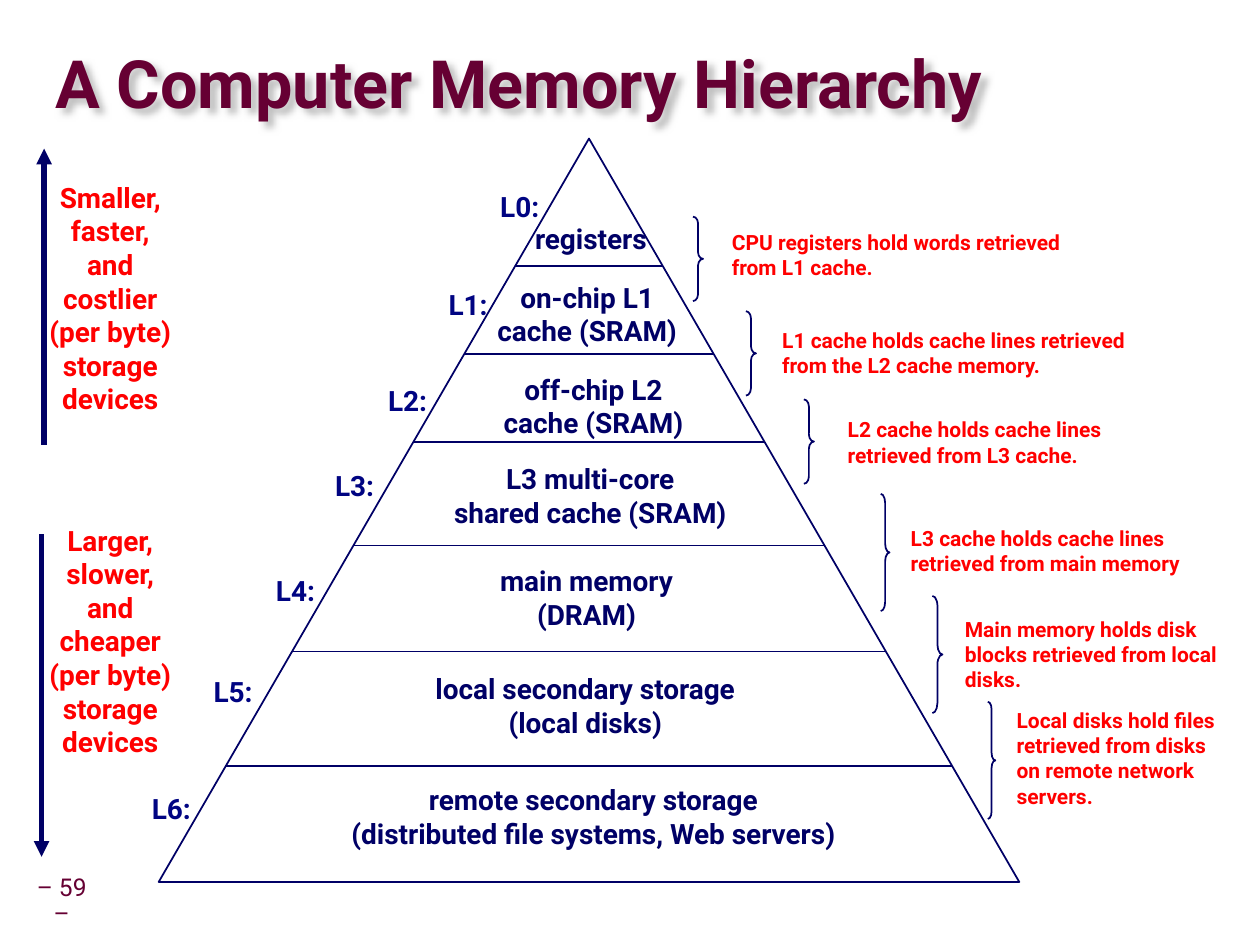
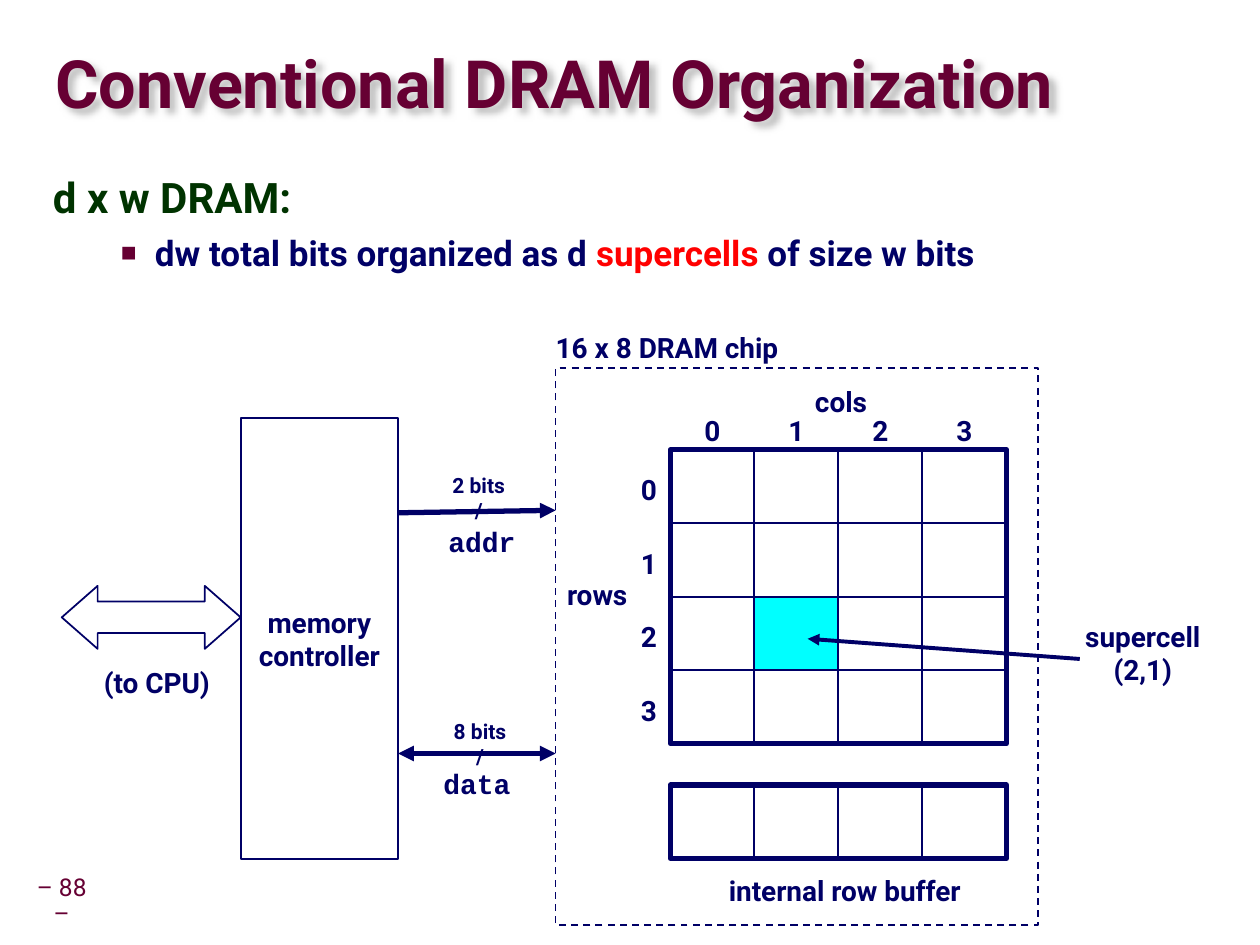
from lxml import etree
from pptx import Presentation
from pptx.dml.color import RGBColor
from pptx.enum.dml import MSO_LINE
from pptx.enum.shapes import MSO_CONNECTOR, MSO_SHAPE
from pptx.enum.text import MSO_ANCHOR, MSO_AUTO_SIZE, PP_ALIGN
from pptx.oxml.ns import qn
from pptx.util import Inches, Pt

RECT, TRIANGLE = MSO_SHAPE.RECTANGLE, MSO_SHAPE.ISOSCELES_TRIANGLE
BRACE, BLOCK_ARROW = MSO_SHAPE.RIGHT_BRACE, MSO_SHAPE.LEFT_RIGHT_ARROW
STRAIGHT, DASH = MSO_CONNECTOR.STRAIGHT, MSO_LINE.DASH
LEFT, CENTER = PP_ALIGN.LEFT, PP_ALIGN.CENTER
MIDDLE, TOP = MSO_ANCHOR.MIDDLE, MSO_ANCHOR.TOP
NO_FIT = MSO_AUTO_SIZE.NONE

FONT, CODE_FONT = "Roboto", "Courier New"
NAVY, BLUE, RED, WINE = "000066", "000482", "FF0000", "660033"
GREEN, CYAN, WHITE = "003300", "00FFFF", "FFFFFF"
rgb = RGBColor.from_string

deck = Presentation()
deck.slide_width, deck.slide_height = Inches(10), Inches(7.5)
CELL = deck.slide_width // 100  # the slide is a grid of 100 columns by 75 rows


def draw(page, kind, cells, fill=None, width=1, dash=None, adjust=(), head=False, tail=False):
    """Add a shape, or a line when kind is STRAIGHT, or a text box when kind is None.

    cells holds left, top, width, height; for a line, the start and end points.
    """
    lengths = [round(CELL * value) for value in cells]
    if kind is None:
        return page.shapes.add_textbox(*lengths)
    if kind is STRAIGHT:
        item = page.shapes.add_connector(STRAIGHT, *lengths)
    else:
        item = page.shapes.add_shape(kind, *lengths)
        item.shadow.inherit = False
        for index, value in enumerate(adjust):
            item.adjustments[index] = value
        if fill:
            item.fill.solid()
            item.fill.fore_color.rgb = rgb(fill)
        else:
            item.fill.background()
    item.line.color.rgb = rgb(NAVY)
    item.line.width = Pt(width)
    if dash:
        item.line.dash_style = dash
    if kind is STRAIGHT:
        properties = item._element.spPr
        outline = properties.find(qn("a:ln"))
        for end, wanted in (("a:headEnd", head), ("a:tailEnd", tail)):
            if wanted:
                etree.SubElement(outline, qn(end), type="triangle")
        etree.SubElement(properties, qn("a:effectLst"))
    return item


def write(box, lines, size=16, color=NAVY, name=FONT, bold=True, align=CENTER,
          wrap=False, anchor=MIDDLE, spacing=None):
    """Fill a shape with one paragraph for each line; a line may be a list of (text, colour)."""
    frame = box.text_frame
    frame.word_wrap, frame.vertical_anchor, frame.auto_size = wrap, anchor, NO_FIT
    for index, line in enumerate(lines):
        para = frame.add_paragraph() if index else frame.paragraphs[0]
        para.alignment, para.line_spacing = align, spacing
        for text, tint in [(line, color)] if isinstance(line, str) else line:
            span = para.add_run()
            span.text = text
            for key, value in dict(size=Pt(size), name=name, bold=bold).items():
                setattr(span.font, key, value)
            span.font.color.rgb = rgb(tint)
    return frame


TITLE_PLACE = dict(left=4.4, top=2.7, width=95.3, height=8.5)
BODY_PLACE = dict(left=3.2, top=13.4, width=90.9, height=57.1)
NO_MARGINS = dict(margin_left=0, margin_top=0, margin_right=0, margin_bottom=0)

pages = []
for layout, title, number in ((5, "A Computer Memory Hierarchy", 59),
                              (1, "Conventional DRAM Organization", 88)):
    page = deck.slides.add_slide(deck.slide_layouts[layout])
    pages.append(page)
    heading = page.shapes.title
    for key, value in TITLE_PLACE.items():
        setattr(heading, key, round(CELL * value))
    frame = write(heading, [title], size=38, color=WINE, align=LEFT, wrap=True, spacing=0.87)
    for key, value in NO_MARGINS.items():
        setattr(frame, key, value)
    heading.shadow.inherit = False
    effects = heading._element.spPr.find(qn("a:effectLst"))
    shadow = etree.SubElement(effects, qn("a:outerShdw"), blurRad=str(Pt(4)), dist=str(Pt(4)),
                              dir="2700000", algn="ctr", rotWithShape="0")
    etree.SubElement(shadow, qn("a:srgbClr"), val="C0C0C0")
    footer = draw(page, None, (2.4, 69.3, 5, 4.5))
    frame = write(footer, [f"– {number} –"], size=14, color=WINE, bold=False, wrap=True, spacing=0.9)
    for key in NO_MARGINS:
        setattr(frame, key, round(CELL * 0.5))

hierarchy, dram = pages

# Memory pyramid
APEX_X, APEX_Y, BASE, HEIGHT = 46.75, 11, 68.3, 59
draw(hierarchy, TRIANGLE, (APEX_X - BASE / 2, APEX_Y, BASE, HEIGHT))
for y in (21.1, 28.1, 35.1, 43.3, 51.7, 60.8):
    half = BASE / 2 * (y - APEX_Y) / HEIGHT
    draw(hierarchy, STRAIGHT, (APEX_X - half, y, APEX_X + half, y))

# Centre of the tag, centre of the name, name
LEVELS = [
    (41.25, 16.35, 46.9, 18.95, ["registers"]),
    (37.15, 24.15, 46.6, 24.9, ["on-chip L1", "cache (SRAM)"]),
    (32.35, 31.75, 47.1, 32.2, ["off-chip L2", "cache (SRAM)"]),
    (28.15, 38.55, 46.85, 39.3, ["L3 multi-core", "shared cache (SRAM)"]),
    (23.45, 46.85, 46.55, 47.4, ["main memory", "(DRAM)"]),
    (18.5, 54.85, 46.45, 56, ["local secondary storage", "(local disks)"]),
    (13.6, 64.15, 47.1, 64.8, ["remote secondary storage", "(distributed file systems, Web servers)"]),
]
for level, (tag_x, tag_y, name_x, name_y, name) in enumerate(LEVELS):
    write(draw(hierarchy, None, (tag_x - 2.7, tag_y - 1.85, 5.4, 3.7)), [f"L{level}:"], color=BLUE)
    write(draw(hierarchy, None, (name_x - 21.4, name_y - 3.2, 42.8, 6.4)), name)

# Brace, its bend, note box, note
NOTES = [
    ((55, 17.2, 0.8, 6.7), 0.67, (57.1, 17.7, 31.9, 5),
     ["CPU registers hold words retrieved from L1 cache."]),
    ((59.2, 24.7, 0.8, 6.7), 0.72, (61.1, 25.5, 31, 5),
     ["L1 cache holds cache lines retrieved from the L2 cache memory."]),
    ((63.8, 31.7, 0.8, 6.7), 0.72, (66.3, 32.6, 28.7, 5),
     ["L2 cache holds cache lines retrieved from L3 cache."]),
    ((69.9, 39.2, 0.7, 9.3), 1, (71.3, 41.2, 27, 5),
     ["L3 cache holds cache lines retrieved from main memory"]),
    ((74, 47.3, 0.8, 9.3), 1, (75.6, 48.4, 24, 7),
     ["Main memory holds disk", "blocks retrieved from local", "disks."]),
    ((78.4, 55.7, 0.6, 9.3), 1, (79.7, 55.6, 18.7, 9.1),
     ["Local disks hold files retrieved from disks on remote network servers."]),
]
for brace, bend, place, note in NOTES:
    draw(hierarchy, BRACE, brace, adjust=(bend, 0.5))
    write(draw(hierarchy, None, place), note, size=12, color=RED, align=LEFT, wrap=True)

TRENDS = [
    ((3.5, 35.3, 3.5, 11.8), 13.8, ["Smaller,", "faster,", "and", "costlier"]),
    ((3.3, 42.4, 3.3, 68), 41, ["Larger,", "slower,", "and", "cheaper"]),
]
for arrow, top, words in TRENDS:
    draw(hierarchy, STRAIGHT, arrow, width=3, tail=True)
    write(draw(hierarchy, None, (2.7, top, 12.1, 19.7)),
          words + ["(per byte)", "storage", "devices"], color=RED)

# DRAM definition
body = dram.placeholders[1]
for key, value in BODY_PLACE.items():
    setattr(body, key, round(CELL * value))
frame = write(body, ["d x w DRAM:", [("dw total bits organized as d ", NAVY), ("supercells", RED),
                                     (" of size w bits", NAVY)]],
              size=20, color=GREEN, align=LEFT, wrap=True, anchor=TOP)
term, detail = frame.paragraphs
term.runs[0].font.size = Pt(24)
term.line_spacing, term.space_before = 0.95, Pt(0)
detail.level, detail.space_before = 1, Pt(5)
for para, margin, hanging in ((term, 4.2, 4.2), (detail, 8.1, 2.7)):
    properties = para._p.get_or_add_pPr()
    properties.set("marL", str(round(CELL * margin)))
    properties.set("indent", str(-round(CELL * hanging)))
etree.SubElement(term._p.pPr, qn("a:buNone"))
tint = etree.SubElement(detail._p.pPr, qn("a:buClr"))
etree.SubElement(tint, qn("a:srgbClr"), val=WINE)
etree.SubElement(detail._p.pPr, qn("a:buSzPct"), val="75000")
etree.SubElement(detail._p.pPr, qn("a:buChar"), char="■")

# Supercell array and row buffer
GRID_X, GRID_Y, BUFFER_Y, COUNT = 53.2, 35.7, 62.3, 4
CELL_W, CELL_H = 6.67, 5.83
for top, rows in ((GRID_Y, COUNT), (BUFFER_Y, 1)):
    for row in range(rows):
        for col in range(COUNT):
            chosen = rows == COUNT and (row, col) == (2, 1)
            draw(dram, RECT, (GRID_X + col * CELL_W, top + row * CELL_H, CELL_W, CELL_H),
                 fill=CYAN if chosen else WHITE)
    draw(dram, RECT, (GRID_X, top, COUNT * CELL_W, rows * CELL_H), width=3)
for index in range(COUNT):
    write(draw(dram, None, (GRID_X + index * CELL_W, 32.3, CELL_W, 3.7)), [str(index)])
    write(draw(dram, None, (49.9, GRID_Y + 1.3 + index * CELL_H, 3.2, 3.7)), [str(index)])
draw(dram, RECT, (44.1, 29.2, 38.3, 44.2), dash=DASH)

# Controller and its links
controller = draw(dram, RECT, (19.1, 33.2, 12.5, 35), fill=WHITE)
write(controller, ["memory", "controller"])
draw(dram, BLOCK_ARROW, (4.9, 46.5, 14.2, 5), fill=WHITE, adjust=(0.5, 0.57))
draw(dram, STRAIGHT, (31.6, 40.7, 44.1, 40.5), width=3, tail=True)
draw(dram, STRAIGHT, (31.6, 59.8, 44.1, 59.8), width=3, head=True, tail=True)
draw(dram, STRAIGHT, (85.7, 52.3, 64.1, 50.7), width=2.25, tail=True)

LABELS = [
    ((63.5, 30, 6.5, 3.7), ["cols"], {}),
    ((43.8, 45.3, 7.2, 3.7), ["rows"], {}),
    ((56.3, 68.8, 21.5, 3.7), ["internal row buffer"], {}),
    ((42.6, 25.7, 20.7, 3.7), ["16 x 8 DRAM chip"], {}),
    ((84.8, 48.6, 11.8, 6.4), ["supercell", "(2,1)"], {}),
    ((7, 52.3, 10.9, 3.7), ["(to CPU)"], {}),
    ((34.6, 41.1, 7.3, 3.7), ["addr"], dict(name=CODE_FONT)),
    ((34.2, 60.3, 7.3, 3.7), ["data"], dict(name=CODE_FONT)),
    ((34.8, 37, 6.4, 5), ["2 bits", "/"], dict(size=12)),
    ((34.9, 56.5, 6.4, 5), ["8 bits", "/"], dict(size=12)),
]
for place, label, look in LABELS:
    write(draw(dram, None, place), label, **look)

deck.save("out.pptx")
